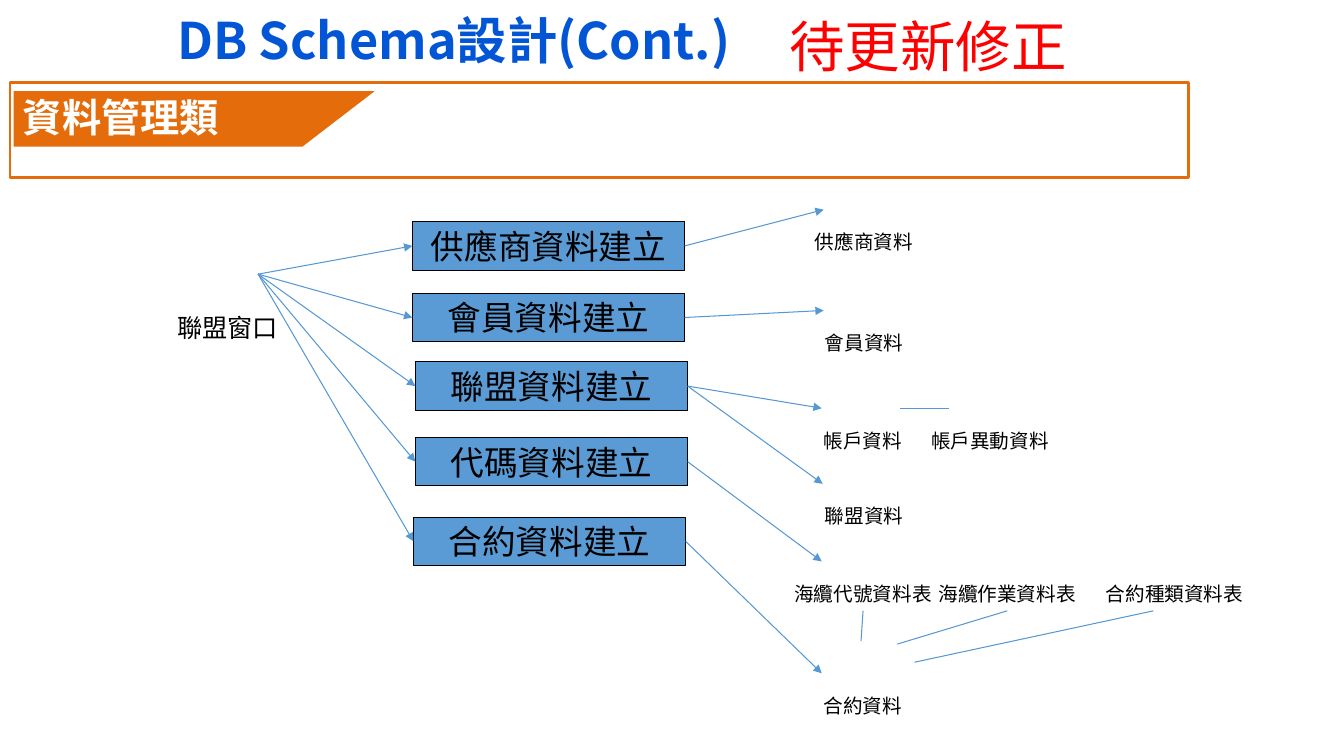
from lxml import etree
from pptx import Presentation
from pptx.dml.color import RGBColor
from pptx.enum.shapes import MSO_CONNECTOR, MSO_SHAPE
from pptx.enum.text import MSO_ANCHOR, PP_ALIGN
from pptx.oxml.ns import qn
from pptx.util import Inches, Pt

BLACK = RGBColor(0x00, 0x00, 0x00)
WHITE = RGBColor(0xFF, 0xFF, 0xFF)
RED = RGBColor(0xFF, 0x00, 0x00)
TITLE_BLUE = RGBColor(0x02, 0x55, 0xD5)
STEP_BLUE = RGBColor(0x5B, 0x9B, 0xD5)
LINE_BLUE = RGBColor(0x56, 0x98, 0xD3)
ORANGE = RGBColor(0xE4, 0x6C, 0x0A)
CJK_FONT = "Noto Sans CJK SC"

ACTOR_POINT = (2.56, 2.72)
STEP_WIDTH, STEP_HEIGHT = 2.7, 0.48
# Step name, left, top, and the points its arrows lead to
STEPS = [
    ("供應商資料建立", 4.09, 2.2, [(8.17, 2.08)]),
    ("會員資料建立", 4.09, 2.91, [(8.17, 3.08)]),
    ("聯盟資料建立", 4.12, 3.59, [(8.15, 4.05), (8.16, 4.8)]),
    ("代碼資料建立", 4.12, 4.34, [(8.15, 5.57)]),
    ("合約資料建立", 4.1, 5.13, [(8.15, 6.68)]),
]
# Table name, left, top, width, height
TABLES = [
    ("供應商資料", 7.97, 2.26, 1.2, 0.28),
    ("會員資料", 8.07, 3.26, 1, 0.28),
    ("帳戶資料", 8.06, 4.23, 1, 0.28),
    ("帳戶異動資料", 9.12, 4.23, 1.4, 0.28),
    ("聯盟資料", 8.07, 4.98, 1, 0.28),
    ("海纜代號資料表", 7.77, 5.72, 1.58, 0.34),
    ("海纜作業資料表", 9.2, 5.72, 1.58, 0.34),
    ("合約種類資料表", 10.86, 5.72, 1.58, 0.34),
    ("合約資料", 8.06, 6.86, 1, 0.28),
]
TABLE_LINKS = [
    ((8.93, 4.05), (9.41, 4.05)),
    ((8.54, 6.36), (8.56, 6.06)),
    ((8.9, 6.39), (9.99, 6.06)),
    ((9.07, 6.57), (11.44, 6.06)),
]


def write_text(shape, text, size, color, bold=False, align=PP_ALIGN.LEFT,
               anchor=MSO_ANCHOR.MIDDLE, font_name=CJK_FONT):
    text_frame = shape.text_frame
    text_frame.text = text
    text_frame.vertical_anchor = anchor
    paragraph = text_frame.paragraphs[0]
    paragraph.alignment = align
    run = paragraph.runs[0]
    run.font.size = Pt(size)
    run.font.bold = bold
    run.font.color.rgb = color
    run.font.name = font_name
    east_asian = etree.SubElement(run.font._element, qn("a:ea"))
    east_asian.set("typeface", CJK_FONT)


def add_text(slide, box, text, size, color, wrap=True, **style):
    text_box = slide.shapes.add_textbox(*map(Inches, box))
    text_box.text_frame.word_wrap = wrap
    write_text(text_box, text, size, color, **style)
    return text_box


def add_heading(slide, box, text, size, color, **style):
    heading = add_text(slide, box, text, size, color, **style)
    heading.text_frame.paragraphs[0].line_spacing = 0.9
    return heading


def add_block(slide, kind, box, fill=None, line=None, line_width=0.75):
    block = slide.shapes.add_shape(kind, *map(Inches, box))
    block.shadow.inherit = False
    if fill is None:
        block.fill.background()
    else:
        block.fill.solid()
        block.fill.fore_color.rgb = fill
    if line is None:
        block.line.fill.background()
    else:
        block.line.color.rgb = line
        block.line.width = Pt(line_width)
    return block


def add_link(slide, start, end, arrow=False):
    link = slide.shapes.add_connector(
        MSO_CONNECTOR.STRAIGHT, *map(Inches, (*start, *end)))
    link.line.color.rgb = LINE_BLUE
    link.line.width = Pt(0.75)
    if arrow:
        tail = etree.SubElement(link.line._get_or_add_ln(), qn("a:tailEnd"))
        tail.set("type", "triangle")
    etree.SubElement(link._element.spPr, qn("a:effectLst"))


def add_step(slide, name, left, top, targets):
    """Draw a step box, the arrow into it and the arrows to its tables."""
    step = add_block(slide, MSO_SHAPE.RECTANGLE,
                     (left, top, STEP_WIDTH, STEP_HEIGHT), STEP_BLUE, BLACK)
    write_text(step, name, 24, BLACK, align=PP_ALIGN.CENTER)
    middle = top + STEP_HEIGHT / 2
    add_link(slide, ACTOR_POINT, (left, middle), arrow=True)
    for target in targets:
        add_link(slide, (left + STEP_WIDTH, middle), target, arrow=True)


def add_section_banner(slide):
    add_block(slide, MSO_SHAPE.RECTANGLE, (0.1, 0.82, 11.69, 0.94),
              line=ORANGE, line_width=2)
    banner = add_block(slide, MSO_SHAPE.FLOWCHART_MANUAL_INPUT,
                       (1.65, -0.61, 0.55, 3.58), ORANGE)
    banner.rotation = 270
    banner._element.spPr.xfrm.set("flipV", "1")
    add_text(slide, (0.13, 0.88, 3.06, 0.57), "資料管理類", 28, WHITE,
             bold=True, anchor=MSO_ANCHOR.TOP)


def main():
    presentation = Presentation()
    presentation.slide_width = Inches(13.33)
    presentation.slide_height = Inches(7.5)
    slide = presentation.slides.add_slide(presentation.slide_layouts[6])

    add_text(slide, (1.66, 3.05, 1.23, 0.33), "聯盟窗口", 18, BLACK, wrap=False,
             anchor=MSO_ANCHOR.TOP, font_name="Calibri")
    for step in STEPS:
        add_step(slide, *step)
    for name, *box in TABLES:
        add_text(slide, box, name, 14, BLACK, wrap=False,
                 align=PP_ALIGN.CENTER)
    for start, end in TABLE_LINKS:
        add_link(slide, start, end)

    add_section_banner(slide)
    add_heading(slide, (1.66, 0.07, 9.9, 0.71), "DB Schema設計(Cont.)", 36,
                TITLE_BLUE, bold=True)
    status = add_heading(slide, (7.78, 0.14, 3.5, 0.7), "待更新修正", 39.6, RED,
                         font_name="Calibri")
    status.text_frame.margin_left = status.text_frame.margin_right = Inches(0.05)

    presentation.save("out.pptx")


if __name__ == "__main__":
    main()
